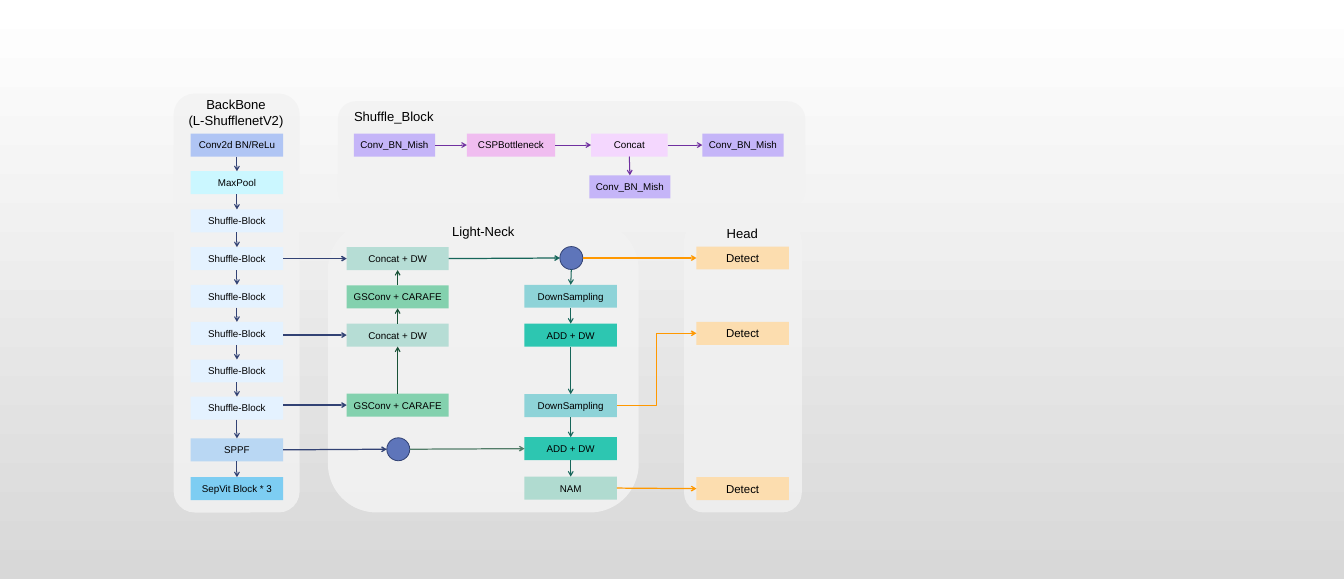
import pptx
import pptx.util
import pptx.dml.color
import pptx.enum.shapes
import pptx.enum.text
import pptx.oxml.ns
from lxml import etree

EMU_PER_PX = 9144  # 100 px to the inch
SLIDE = (2283, 984)
BOX_HEIGHT = 39
BACKGROUND = ("FFFFFF", "D8D8D8")
PANEL_COLOUR = "F2F2F2"
BLACK = "000000"
NAVY, TEAL, GREEN, SAGE = "324274", "17665A", "195237", "537D69"
ORANGE, PURPLE = "FF9800", "7030A0"
PALE, MINT, EMERALD = "E4F2FF", "B6DDD5", "83D1AE"
AQUA, TURQUOISE, PEACH, LILAC = "8ED3D8", "2DC6B1", "FCDDAF", "C5B5F8"

# left, top, width, height, opacity in percent
PANELS = [
    (574, 172, 794, 182, 84),
    (557, 375, 528, 496, 90),
    (295, 159, 214, 712, 84),
    (1162, 375, 200, 496, 81),
]

# left, top, height, lines
TITLES = [
    (288, 159, 81, ["BackBone", "(L-ShufflenetV2)"]),
    (556, 179, 40, ["Shuffle_Block"]),
    (1148, 379, 40, ["Head"]),
    (708, 375, 40, ["Light-Neck"]),
]
TITLE_WIDTH = 226

# name: left, width, text size, boxes from top to bottom
COLUMNS = {
    "backbone": (324, 157, 12, [
        (227, "Conv2d BN/ReLu", "B0C5F4"),
        (291, "MaxPool", "CBF7FF"),
        (356, "Shuffle-Block", PALE),
        (420, "Shuffle-Block", PALE),
        (484, "Shuffle-Block", PALE),
        (547, "Shuffle-Block", PALE),
        (611, "Shuffle-Block", PALE),
        (674, "Shuffle-Block", PALE),
        (745, "SPPF", "B9D7F3"),
        (811, "SepVit Block * 3", "7DCDF2"),
    ]),
    "up": (589, 173, 12, [
        (420, "Concat + DW", MINT),
        (485, "GSConv + CARAFE", EMERALD),
        (550, "Concat + DW", MINT),
        (669, "GSConv + CARAFE", EMERALD),
    ]),
    "down": (891, 157, 12, [
        (484, "DownSampling", AQUA),
        (550, "ADD + DW", TURQUOISE),
        (670, "DownSampling", AQUA),
        (743, "ADD + DW", TURQUOISE),
        (810, "NAM", "B0DBD0"),
    ]),
    "head": (1183, 157, 14, [(top, "Detect", PEACH) for top in (419, 547, 811)]),
    "mish in": (601, 138, 12, [(227, "Conv_BN_Mish", LILAC)]),
    "bottleneck": (793, 150, 12, [(227, "CSPBottleneck", "F0BDF0")]),
    "concat": (1004, 130, 12, [(227, "Concat", "F4D7FE")]),
    "mish below": (1001, 138, 12, [(298, "Conv_BN_Mish", LILAC)]),
    "mish out": (1193, 138, 12, [(227, "Conv_BN_Mish", LILAC)]),
}
CIRCLES = {"circle low": (657, 744), "circle top": (951, 419)}

TOP, LEFT, BOTTOM, RIGHT = range(4)
DOWNWARD, UPWARD, ACROSS = (BOTTOM, TOP), (TOP, BOTTOM), (RIGHT, LEFT)

# direction, colour, width in points, pairs of shapes
ARROWS = [
    (DOWNWARD, NAVY, 1.25,
     [(f"backbone {row}", f"backbone {row + 1}") for row in range(9)]),
    (ACROSS, NAVY, 1.5, [("backbone 3", "up 0"), ("backbone 5", "up 2"),
                         ("backbone 7", "up 3"), ("backbone 8", "circle low")]),
    (UPWARD, GREEN, 1.25, [(f"up {row}", f"up {row - 1}") for row in (3, 2, 1)]),
    (DOWNWARD, TEAL, 1.25, [("circle top", "down 0")]
     + [(f"down {row}", f"down {row + 1}") for row in range(4)]),
    (ACROSS, TEAL, 1.5, [("up 0", "circle top")]),
    (ACROSS, SAGE, 1.5, [("circle low", "down 3")]),
    (ACROSS, ORANGE, 1.5, [("circle top", "head 0"), ("down 2", "head 1"),
                           ("down 4", "head 2")]),
    (ACROSS, PURPLE, 1.25, [("mish in 0", "bottleneck 0"), ("bottleneck 0", "concat 0"),
                            ("concat 0", "mish out 0")]),
    (DOWNWARD, PURPLE, 1.25, [("concat 0", "mish below 0")]),
]
ELBOWS = {("down 2", "head 1")}

SHAPE = pptx.enum.shapes.MSO_SHAPE
CONNECTOR = pptx.enum.shapes.MSO_CONNECTOR
CENTRE = pptx.enum.text.PP_ALIGN.CENTER
MIDDLE = pptx.enum.text.MSO_ANCHOR.MIDDLE


def px(*lengths):
    return [pptx.util.Emu(length * EMU_PER_PX) for length in lengths]


def rgb(colour):
    return pptx.dml.color.RGBColor.from_string(colour)


def add_tag(parent, tag, **attributes):
    return etree.SubElement(parent, pptx.oxml.ns.qn(tag), attributes)


def apply_format(target, values):
    for name, value in values.items():
        setattr(target, name, value)


def write(frame, lines, size):
    for number, line in enumerate(lines):
        para = frame.paragraphs[0] if number == 0 else frame.add_paragraph()
        para.alignment = CENTRE
        span = para.add_run()
        span.text = line
        apply_format(span.font, {"name": "Arial", "size": pptx.util.Pt(size)})
        span.font.color.rgb = rgb(BLACK)


def add_filled(page, kind, place, colour):
    shape = page.shapes.add_shape(kind, *px(*place))
    shape.shadow.inherit = False
    shape.fill.solid()
    shape.fill.fore_color.rgb = rgb(colour)
    shape.line.fill.background()
    return shape


def side_point(shape, side):
    across, along = {TOP: (1, 0), LEFT: (0, 1), BOTTOM: (1, 2), RIGHT: (2, 1)}[side]
    return (shape.left + shape.width * across // 2,
            shape.top + shape.height * along // 2)


def add_arrow(page, start, end, sides, colour, width, elbow):
    begin, finish = side_point(start, sides[0]), side_point(end, sides[1])
    # A level arrow leaves its box at the height of its target.
    off_centre = (sides == ACROSS and not elbow
                  and abs(begin[1] - finish[1]) > 2 * EMU_PER_PX)
    if off_centre:
        begin = (begin[0], finish[1])
    kind = CONNECTOR.ELBOW if elbow else CONNECTOR.STRAIGHT
    arrow = page.shapes.add_connector(kind, *begin, *finish)
    if start.auto_shape_type == SHAPE.RECTANGLE and not off_centre:
        arrow.begin_connect(start, sides[0])
    if end.auto_shape_type == SHAPE.RECTANGLE:
        arrow.end_connect(end, sides[1])
    arrow.line.color.rgb = rgb(colour)
    arrow.line.width = pptx.util.Pt(width)
    properties = arrow._element.spPr
    add_tag(properties.find(pptx.oxml.ns.qn("a:ln")), "a:tailEnd", type="arrow")
    add_tag(properties, "a:effectLst")


def main():
    deck = pptx.Presentation()
    deck.slide_width, deck.slide_height = px(*SLIDE)
    page = deck.slides.add_slide(deck.slide_layouts[6])

    backdrop = page.background.fill
    backdrop.gradient()
    backdrop.gradient_angle = 270
    for stop, colour in zip(backdrop.gradient_stops, BACKGROUND):
        stop.color.rgb = rgb(colour)

    for *place, opacity in PANELS:
        panel = add_filled(page, SHAPE.ROUNDED_RECTANGLE, place, PANEL_COLOUR)
        tint = next(panel._element.spPr.iter(pptx.oxml.ns.qn("a:srgbClr")))
        add_tag(tint, "a:alpha", val=str(opacity * 1000))

    shapes = {}
    inset, = px(10)
    box_format = {"vertical_anchor": MIDDLE, "word_wrap": False}
    box_format.update({f"margin_{side}": inset for side in ("left", "top", "right", "bottom")})
    for name, (left, width, size, rows) in COLUMNS.items():
        for row, (top, text, colour) in enumerate(rows):
            box = add_filled(page, SHAPE.RECTANGLE, (left, top, width, BOX_HEIGHT), colour)
            apply_format(box.text_frame, box_format)
            write(box.text_frame, [text], size)
            shapes[f"{name} {row}"] = box

    for name, place in CIRCLES.items():
        circle = add_filled(page, SHAPE.OVAL, (*place, BOX_HEIGHT, BOX_HEIGHT), "5E75BA")
        circle.line.color.rgb = rgb(NAVY)
        circle.line.width = pptx.util.Pt(1)
        shapes[name] = circle

    for sides, colour, width, pairs in ARROWS:
        for start, end in pairs:
            add_arrow(page, shapes[start], shapes[end], sides, colour, width,
                      (start, end) in ELBOWS)

    for left, top, height, lines in TITLES:
        title = page.shapes.add_textbox(*px(left, top, TITLE_WIDTH, height))
        title.text_frame.word_wrap = True
        write(title.text_frame, lines, 16)

    deck.save("out.pptx")


if __name__ == "__main__":
    main()
